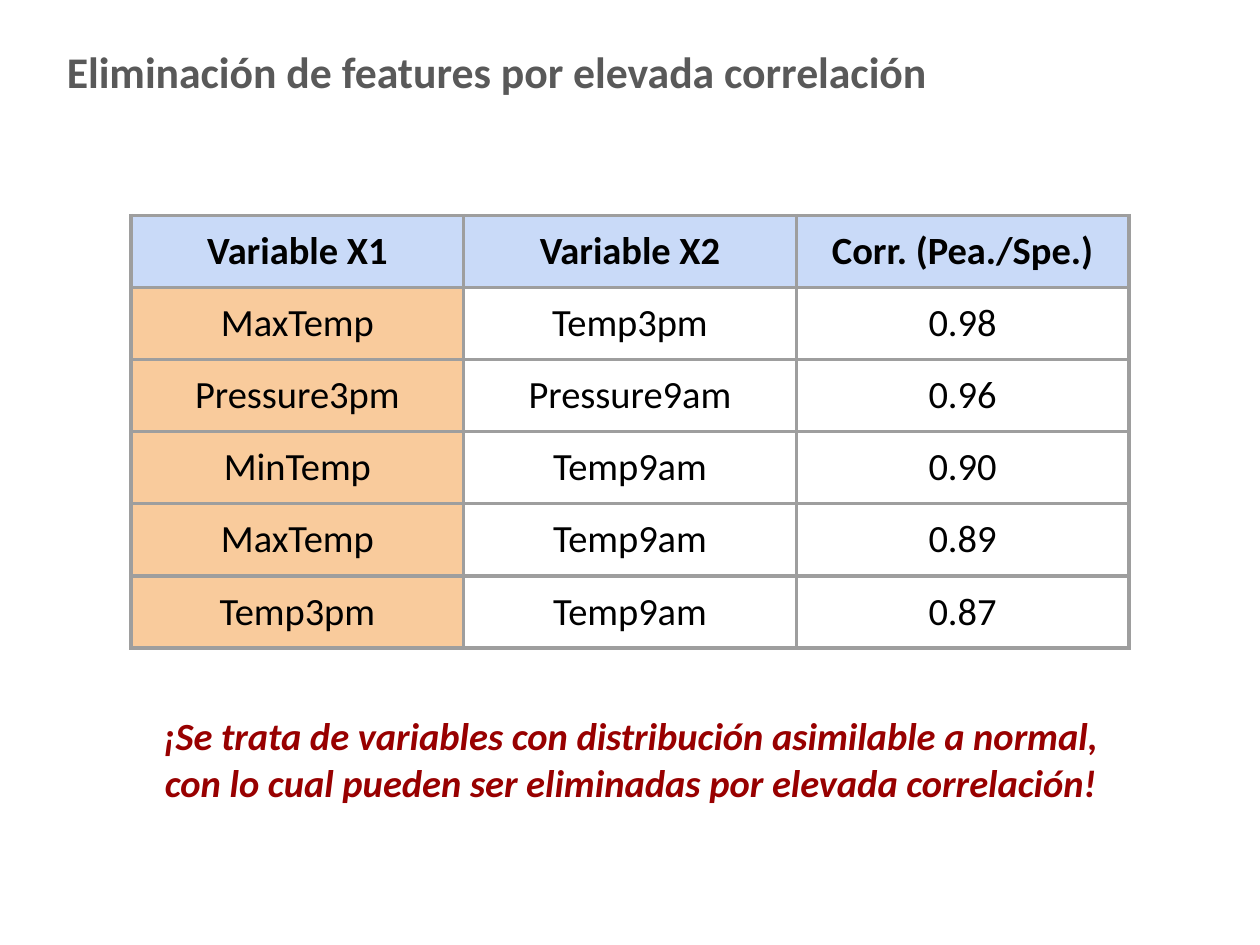
import pptx
import pptx.dml.color
import pptx.enum.text
import pptx.oxml
import pptx.oxml.ns
import pptx.util
from pptx.dml.color import RGBColor
from pptx.util import Inches

TITLE = "Eliminación de features por elevada correlación"
HEADERS = ("Variable X1", "Variable X2", "Corr. (Pea./Spe.)")
CORRELATIONS = [
    ("MaxTemp", "Temp3pm", "0.98"),
    ("Pressure3pm", "Pressure9am", "0.96"),
    ("MinTemp", "Temp9am", "0.90"),
    ("MaxTemp", "Temp9am", "0.89"),
    ("Temp3pm", "Temp9am", "0.87"),
]
NOTE = ("¡Se trata de variables con distribución asimilable a normal, "
        "con lo cual pueden ser eliminadas por elevada correlación!")

FONT = "Calibri"
GRAY = RGBColor(0x59, 0x59, 0x59)
BLACK = RGBColor(0, 0, 0)
RED = RGBColor(0x98, 0, 0)
BLUE = RGBColor(0xC9, 0xDA, 0xF8)
ORANGE = RGBColor(0xF9, 0xCB, 0x9C)
BORDER = RGBColor(0x9E, 0x9E, 0x9E)
BORDER_WIDTH = pptx.util.Pt(2.25)

COLUMN_WIDTH = Inches(2.64)
ROW_HEIGHT = Inches(0.57)
CENTER = pptx.enum.text.PP_ALIGN.CENTER
LEFT = pptx.enum.text.PP_ALIGN.LEFT
MIDDLE = pptx.enum.text.MSO_ANCHOR.MIDDLE


def write(frame, text, size, color, align=CENTER, bold=False, italic=False):
    para = frame.paragraphs[0]
    para.alignment = align
    span = para.add_run()
    span.text = text
    font = span.font
    font.name, font.size = FONT, pptx.util.Pt(size)
    font.bold, font.italic = bold, italic
    font.color.rgb = color


def set_margins(holder, horizontal, vertical):
    holder.margin_left = holder.margin_right = Inches(horizontal)
    holder.margin_top = holder.margin_bottom = Inches(vertical)
    holder.vertical_anchor = MIDDLE


def add_borders(cell):
    """Outline all four sides; borders must precede the fill in the XML."""
    properties = cell._tc.get_or_add_tcPr()
    for position, side in enumerate(("lnL", "lnR", "lnT", "lnB")):
        line = pptx.oxml.parse_xml(
            f'<a:{side} {pptx.oxml.ns.nsdecls("a")} w="{BORDER_WIDTH}">'
            f'<a:solidFill><a:srgbClr val="{BORDER}"/></a:solidFill></a:{side}>')
        properties.insert(position, line)


def add_title(page):
    title = page.shapes.title
    title.left, title.top = Inches(0.43), Inches(0.13)
    title.width, title.height = Inches(8.38), Inches(0.87)
    set_margins(title.text_frame, 0.1, 0.05)
    write(title.text_frame, TITLE, 25, GRAY, LEFT, bold=True)


def add_correlation_table(page):
    rows = [HEADERS] + CORRELATIONS
    table = page.shapes.add_table(
        len(rows), len(HEADERS), Inches(1.04), Inches(1.71),
        COLUMN_WIDTH * len(HEADERS), ROW_HEIGHT * len(rows)).table
    table.horz_banding = False
    for row_index, values in enumerate(rows):
        for column_index, value in enumerate(values):
            is_header = row_index == 0
            cell = table.cell(row_index, column_index)
            set_margins(cell, 0.1, 0.1)
            write(cell.text_frame, value, 22, BLACK, bold=is_header)
            if is_header or column_index == 0:
                cell.fill.solid()
                cell.fill.fore_color.rgb = BLUE if is_header else ORANGE
            else:
                cell.fill.background()
            add_borders(cell)


def add_note(page):
    box = page.shapes.add_textbox(
        Inches(1.16), Inches(5.53), Inches(7.69), Inches(0.98))
    box.text_frame.word_wrap = True
    set_margins(box.text_frame, 0.1, 0.1)
    write(box.text_frame, NOTE, 22, RED, bold=True, italic=True)


def main():
    deck = pptx.Presentation()
    deck.slide_width, deck.slide_height = Inches(10), Inches(7.5)
    page = deck.slides.add_slide(deck.slide_layouts.get_by_name("Title Only"))
    add_title(page)
    add_correlation_table(page)
    add_note(page)
    deck.save("out.pptx")


if __name__ == "__main__":
    main()
